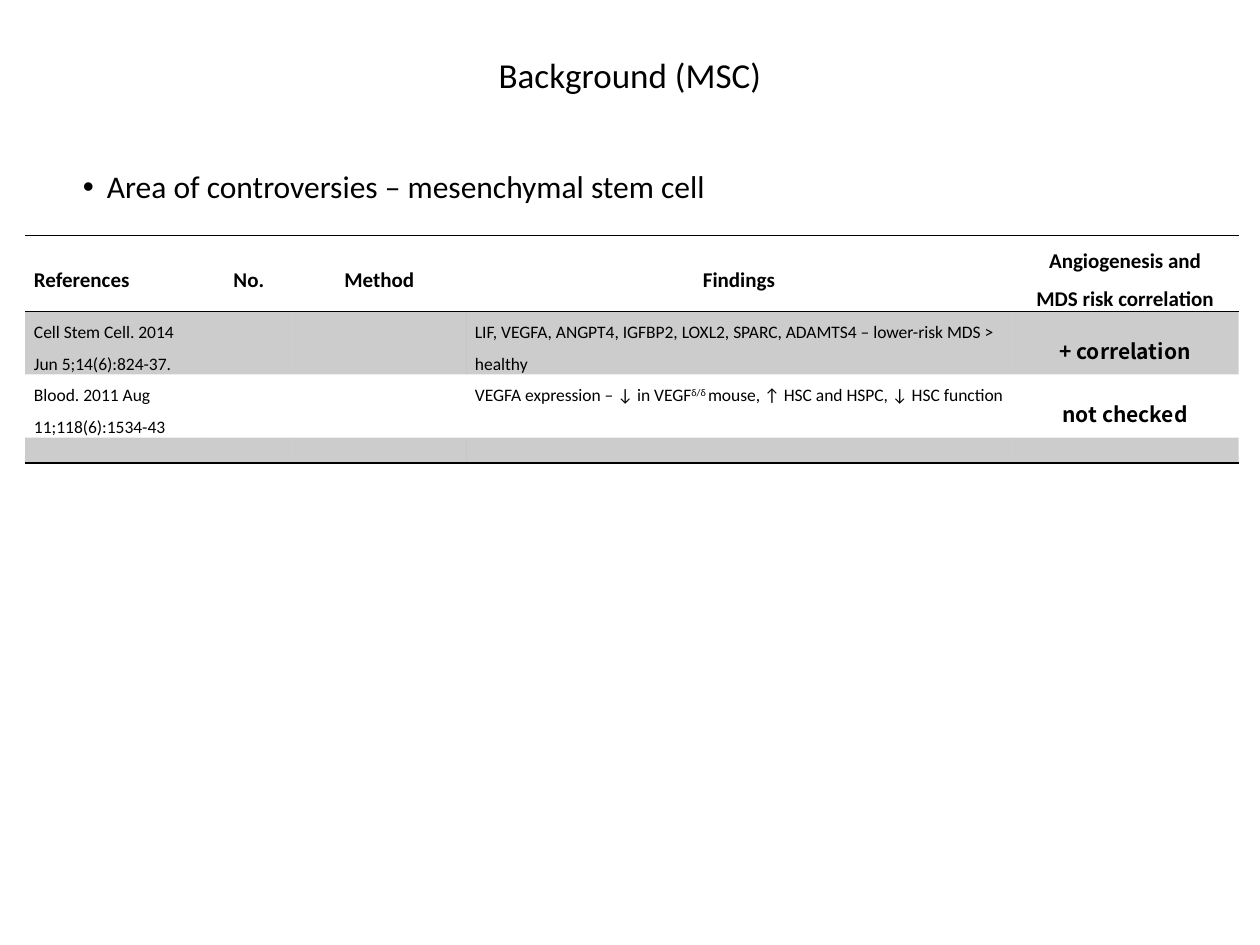
from lxml.etree import SubElement
from pptx import Presentation
from pptx.dml.color import RGBColor
from pptx.enum.text import MSO_ANCHOR, PP_ALIGN
from pptx.oxml.ns import qn
from pptx.util import Inches, Pt

COLORS = {"ink": "000000"}
BODY_FONT = "Calibri"
VERDICT_FONT = "Noto Sans CJK KR"
LINE_SPACING = 1.5
SHADE_PERCENT = 20
PLAIN_TABLE_STYLE = "{2D5ABB26-0587-4C30-8999-92F81FD0307C}"

COLUMN_WIDTHS = [1.43, 0.69, 1.38, 4.33, 1.8]
ROW_HEIGHTS = [0.6, 0.5, 0.5, 0.2]
HEADINGS = ["References", "No.", "Method", "Findings",
            "Angiogenesis and\nMDS risk correlation"]
# Each study: reference, findings as (text, is superscript) pieces, verdict
STUDIES = [
    ("Cell Stem Cell. 2014 Jun 5;14(6):824-37.",
     [("LIF, VEGFA, ANGPT4, IGFBP2, LOXL2, SPARC, ADAMTS4 – lower-risk MDS > healthy", False)],
     "+ correlation"),
    ("Blood. 2011 Aug 11;118(6):1534-43",
     [("VEGFA expression – ↓ in VEGF", False), ("δ/δ ", True),
      ("mouse, ↑ HSC and HSPC, ↓ HSC function", False)],
     "not checked"),
]


def add_run(paragraph, text, size, bold=False, font=BODY_FONT, superscript=False):
    run = paragraph.add_run()
    run.text = text
    run.font.size = Pt(size)
    run.font.bold = bold
    run.font.name = font
    run.font.color.rgb = RGBColor.from_string(COLORS["ink"])
    properties = run._r.get_or_add_rPr()
    if font != BODY_FONT:
        SubElement(properties, qn("a:ea")).set("typeface", font)
    if superscript:
        properties.set("baseline", "30000")


def place_title(slide, left, top, width, height):
    title = slide.shapes.title
    title.left, title.top, title.width, title.height = map(Inches, (left, top, width, height))
    title.text_frame.vertical_anchor = MSO_ANCHOR.MIDDLE
    paragraph = title.text_frame.paragraphs[0]
    paragraph.alignment = PP_ALIGN.CENTER
    add_run(paragraph, "Background (MSC)", 20)


def add_topic(slide, left, top, width, height):
    topic = slide.shapes.add_textbox(*map(Inches, (left, top, width, height)))
    topic.text_frame.word_wrap = True
    paragraph = topic.text_frame.paragraphs[0]
    paragraph.line_spacing = LINE_SPACING
    properties = paragraph._p.get_or_add_pPr()
    properties.set("marL", str(Inches(0.19)))
    properties.set("indent", str(-Inches(0.19)))
    SubElement(properties, qn("a:buFont")).set("typeface", "Arial")
    SubElement(properties, qn("a:buChar")).set("char", "•")
    add_run(paragraph, "Area of controversies – mesenchymal stem cell", 18)


def add_color(parent, alpha_percent=100):
    fill = SubElement(parent, qn("a:solidFill"))
    color = SubElement(fill, qn("a:srgbClr"), val=COLORS["ink"])
    if alpha_percent < 100:
        SubElement(color, qn("a:alpha"), val=str(alpha_percent * 1000))


def format_cell(cell, rules=(), shaded=False):
    """Set insets, ruled edges ("lnT", "lnB") and the translucent shade."""
    cell.margin_left = cell.margin_right = Inches(0.07)
    cell.margin_top = cell.margin_bottom = 0
    properties = cell._tc.get_or_add_tcPr()
    for edge in rules:
        add_color(SubElement(properties, qn(f"a:{edge}"), w=str(Pt(1))))
    if shaded:
        add_color(properties, SHADE_PERCENT)
    else:
        SubElement(properties, qn("a:noFill"))


def write_cell(cell, lines, centred=False, middle=False, **style):
    """Write lines, each a list of (text, is superscript) pieces."""
    if middle:
        cell.vertical_anchor = MSO_ANCHOR.MIDDLE
    frame = cell.text_frame
    for index, pieces in enumerate(lines):
        paragraph = frame.add_paragraph() if index else frame.paragraphs[0]
        paragraph.line_spacing = LINE_SPACING
        paragraph.alignment = PP_ALIGN.CENTER if centred else PP_ALIGN.LEFT
        for text, superscript in pieces:
            add_run(paragraph, text, superscript=superscript, **style)


def add_study_table(slide, left, top):
    rows, columns = len(ROW_HEIGHTS), len(COLUMN_WIDTHS)
    frame = slide.shapes.add_table(rows, columns, Inches(left), Inches(top),
                                   Inches(sum(COLUMN_WIDTHS)), Inches(sum(ROW_HEIGHTS)))
    table = frame.table
    table.first_row = table.horz_banding = False
    table._tbl.tblPr.find(qn("a:tableStyleId")).text = PLAIN_TABLE_STYLE
    for column, width in zip(table.columns, COLUMN_WIDTHS):
        column.width = Inches(width)
    for row, height in zip(table.rows, ROW_HEIGHTS):
        row.height = Inches(height)

    edge_rules = {0: ("lnT", "lnB"), rows - 1: ("lnB",)}
    for row_index, row in enumerate(table.rows):
        for cell in row.cells:
            format_cell(cell, edge_rules.get(row_index, ()), shaded=row_index % 2 == 1)

    for index, heading in enumerate(HEADINGS):
        lines = [[(line, False)] for line in heading.split("\n")]
        write_cell(table.cell(0, index), lines, centred=index > 0, middle=True,
                   size=12, bold=True)
    for index, (reference, findings, verdict) in enumerate(STUDIES, start=1):
        write_cell(table.cell(index, 0), [[(reference, False)]], size=10)
        write_cell(table.cell(index, 3), [findings], size=10)
        write_cell(table.cell(index, 4), [[(verdict, False)]], centred=True, middle=True,
                   size=12, bold=True, font=VERDICT_FONT)

    # Small text size in empty cells keeps their rows from growing
    for cell in table.iter_cells():
        if not cell.text:
            SubElement(cell.text_frame.paragraphs[0]._p, qn("a:endParaRPr"), sz="1000")


def main():
    presentation = Presentation()
    presentation.slide_width, presentation.slide_height = Inches(10), Inches(7.5)
    slide = presentation.slides.add_slide(presentation.slide_layouts[5])
    place_title(slide, 0.3, 0.37, 9.4, 0.44)
    add_topic(slide, 0.56, 1.13, 8.89, 0.51)
    add_study_table(slide, 0.2, 1.87)
    presentation.save("out.pptx")


if __name__ == "__main__":
    main()
